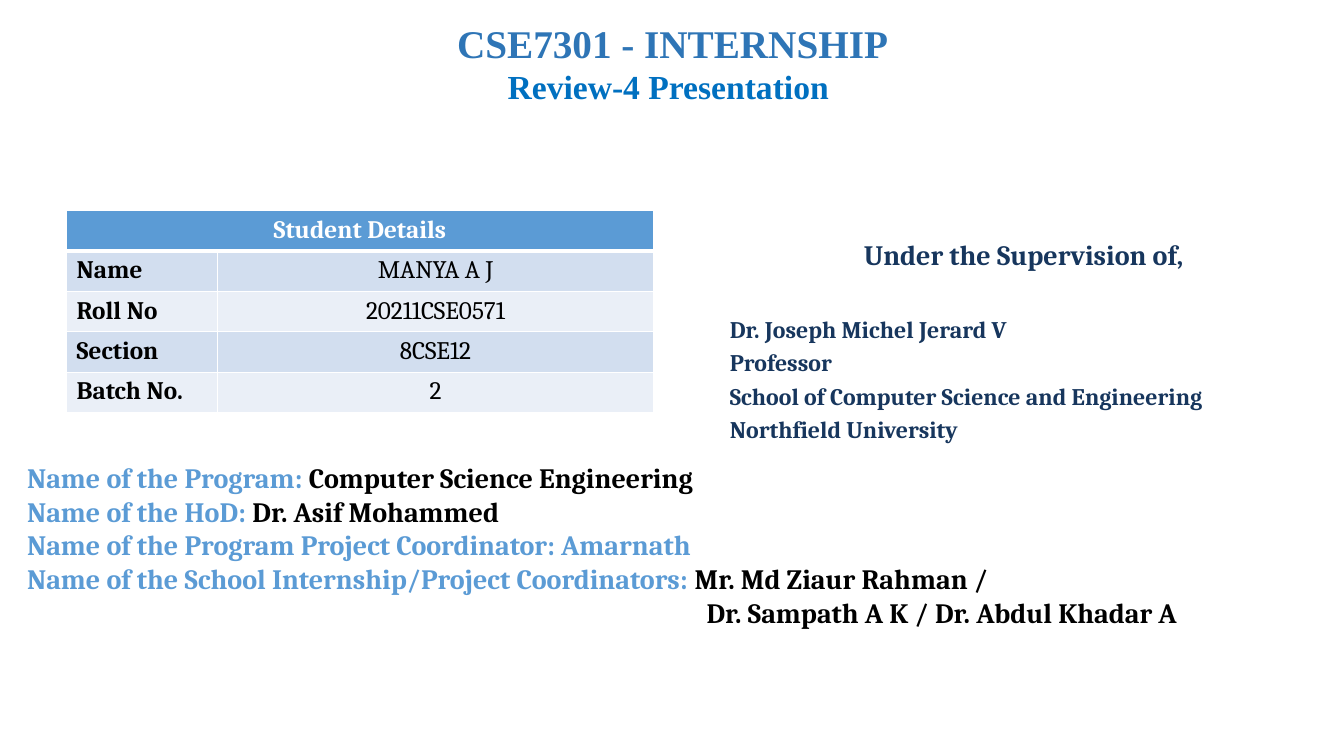
from dataclasses import dataclass

from pptx import Presentation
from pptx import util as u
from pptx.dml.color import RGBColor
from pptx.enum import text
from pptx.oxml import parse_xml
from pptx.oxml.ns import nsdecls


@dataclass(frozen=True)
class Theme:
    serif: str = "Cambria"
    title_font: str = "Times New Roman"
    title: str = "2E75B6"
    subtitle: str = "0070C0"
    navy: str = "17365D"
    label: str = "5B9BD5"
    ink: str = "000000"
    white: str = "FFFFFF"
    bands: tuple = ("D2DEEF", "EAEFF7")
    title_size: int = 28
    subtitle_size: int = 24
    body_size: int = 20
    table_size: int = 18
    detail_size: int = 17


THEME = Theme()
LEFT, CENTER = text.PP_ALIGN.LEFT, text.PP_ALIGN.CENTER


def style_font(font, size, color, name=THEME.serif, bold=True):
    font.name, font.size, font.bold = name, u.Pt(size), bold
    font.color.rgb = RGBColor.from_string(color)


def add_text_frame(slide, box):
    frame = slide.shapes.add_textbox(*map(u.Inches, box)).text_frame
    frame.word_wrap = True
    return frame


def add_paragraph(frame, first, align=LEFT, space_before=0):
    para = frame.paragraphs[0] if first else frame.add_paragraph()
    para.alignment = align
    para.space_before = u.Pt(space_before)
    return para


def add_title(slide, box):
    frame = add_text_frame(slide, box)
    lines = [("CSE7301 - INTERNSHIP", THEME.title_size, THEME.title),
             ("Review-4 Presentation ", THEME.subtitle_size, THEME.subtitle)]
    for index, (line, size, color) in enumerate(lines):
        para = add_paragraph(frame, index == 0, CENTER)
        para.text = line
        style_font(para.font, size, color, THEME.title_font)


def set_borders(cell, bottom=1):
    """Draw white cell borders, with the bottom one of the given points."""
    widths = {"lnL": 1, "lnR": 1, "lnT": 1, "lnB": bottom}
    properties = cell._tc.get_or_add_tcPr()
    for index, (side, points) in enumerate(widths.items()):
        properties.insert(index, parse_xml(
            f'<a:{side} {nsdecls("a")} w="{u.Pt(points)}"><a:solidFill>'
            f'<a:srgbClr val="{THEME.white}"/></a:solidFill></a:{side}>'))


def fill_cell(cell, words, fill, color=THEME.ink, align=LEFT, bold=True, bottom=1):
    cell.fill.solid()
    cell.fill.fore_color.rgb = RGBColor.from_string(fill)
    set_borders(cell, bottom)
    para = cell.text_frame.paragraphs[0]
    para.text, para.alignment = words, align
    style_font(para.font, THEME.table_size, color, bold=bold)


def add_student_table(slide, box, label_width=1.5):
    details = [("Name", "MANYA A J"), ("Roll No", "20211CSE0571"),
               ("Section", "8CSE12"), ("Batch No.", "2")]
    table = slide.shapes.add_table(
        len(details) + 1, 2, *map(u.Inches, box)).table
    table.columns[0].width = u.Inches(label_width)
    table.columns[1].width = u.Inches(box[2] - label_width)
    table.cell(0, 0).merge(table.cell(0, 1))
    for column, words in enumerate(("Student Details", "")):
        fill_cell(table.cell(0, column), words, THEME.label, THEME.white,
                  CENTER, bottom=3)
    for row, (label, value) in enumerate(details, start=1):
        band = THEME.bands[(row - 1) % 2]
        fill_cell(table.cell(row, 0), label, band)
        fill_cell(table.cell(row, 1), value, band, align=CENTER, bold=False)


def add_supervisor(slide, box):
    frame = add_text_frame(slide, box)
    heading = add_paragraph(frame, True, CENTER)
    heading.text = "Under the Supervision of,"
    style_font(heading.font, THEME.body_size, THEME.navy)
    lines = ["Dr. Joseph Michel Jerard V", "Professor",
             "School of Computer Science and Engineering",
             "Northfield University"]
    for index, line in enumerate(lines):
        para = add_paragraph(frame, False, space_before=3.4 if index else 30.8)
        para.text = line
        style_font(para.font, THEME.detail_size, THEME.navy)


def add_program_details(slide, box, name_indent=6.74):
    frame = add_text_frame(slide, box)
    lines = [
        [("Name of the Program: ", THEME.label),
         ("Computer Science Engineering", THEME.ink)],
        [("Name of the HoD: ", THEME.label), ("Dr. Asif Mohammed", THEME.ink)],
        [("Name of the Program Project Coordinator: Amarnath", THEME.label)],
        [("Name of the School Internship/Project Coordinators: ", THEME.label),
         ("Mr. Md Ziaur Rahman /", THEME.ink)],
        [("Dr. Sampath A K / Dr. Abdul Khadar A", THEME.ink)],
    ]
    for index, spans in enumerate(lines):
        para = add_paragraph(frame, index == 0)
        for words, color in spans:
            span = para.add_run()
            span.text = words
            style_font(span.font, THEME.body_size, color)
    para._p.get_or_add_pPr().set("marL", str(u.Inches(name_indent)))


def main():
    deck = Presentation()
    deck.slide_width, deck.slide_height = u.Inches(13.33), u.Inches(7.5)
    page = deck.slides.add_slide(deck.slide_layouts[6])
    add_supervisor(page, (7.14, 2.31, 6.03, 2.21))
    add_program_details(page, (0.17, 4.52, 13, 1.71))
    add_title(page, (0.92, 0.14, 11.5, 1.71))
    add_student_table(page, (0.66, 2.09, 5.82, 2))
    deck.save("out.pptx")


if __name__ == "__main__":
    main()
